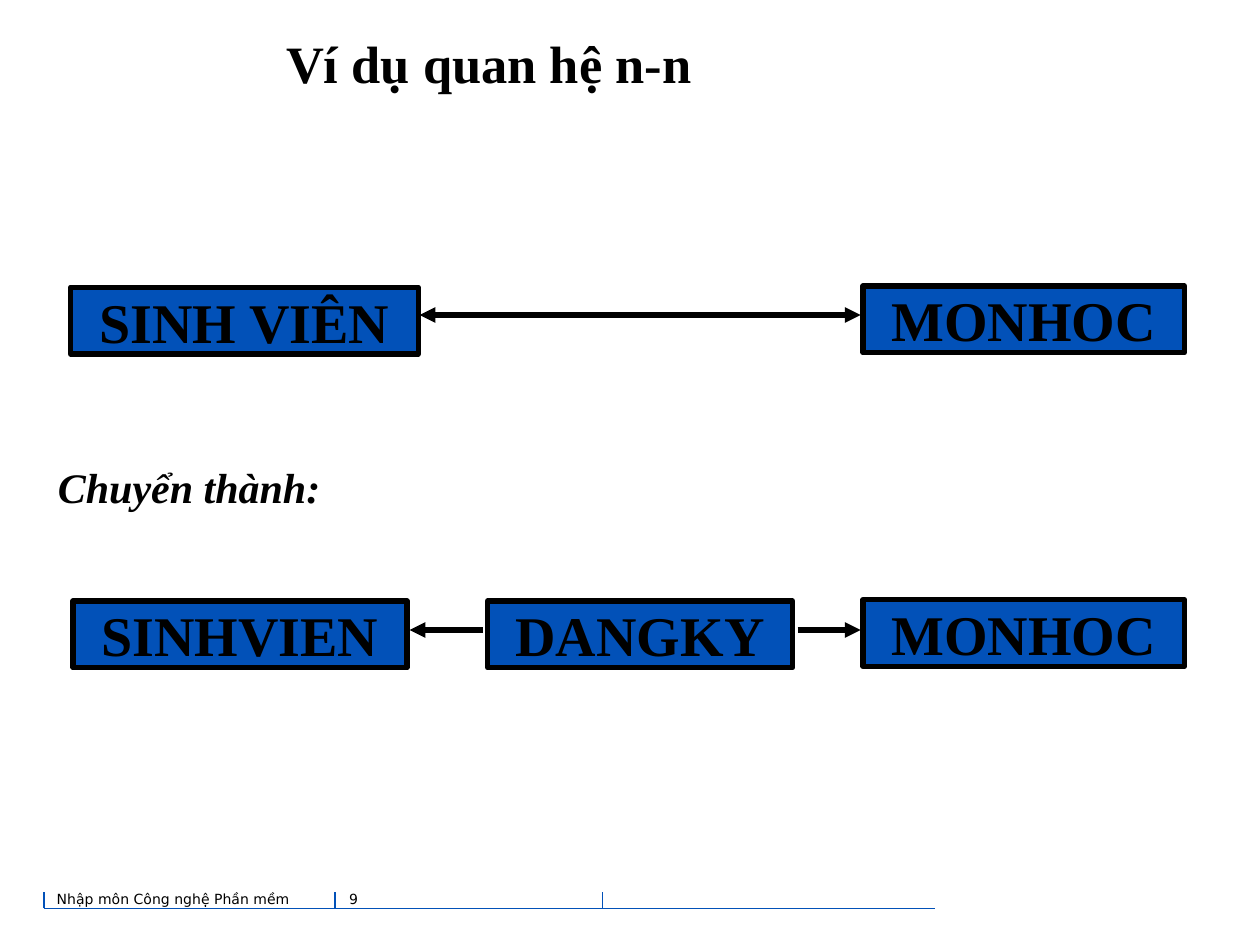
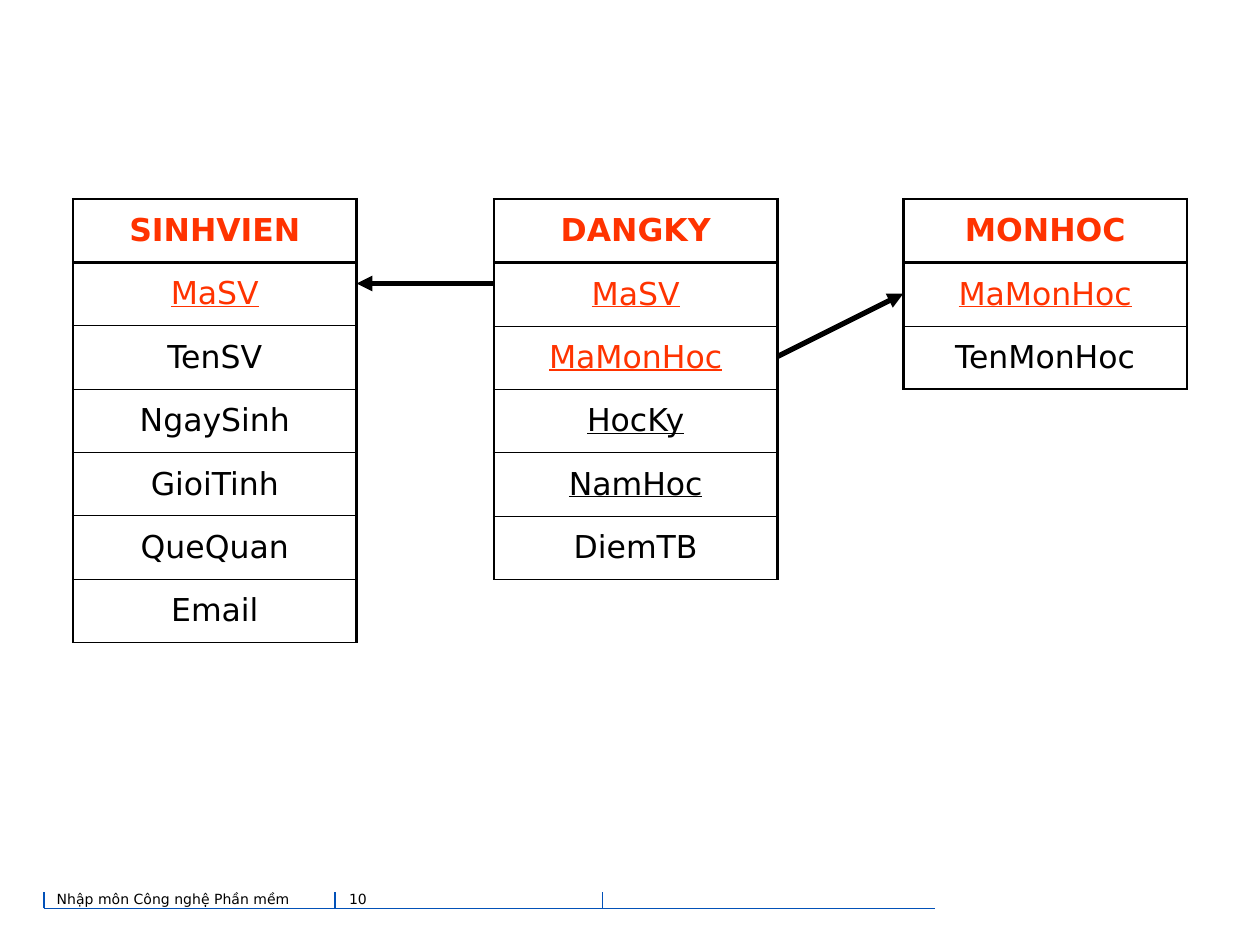
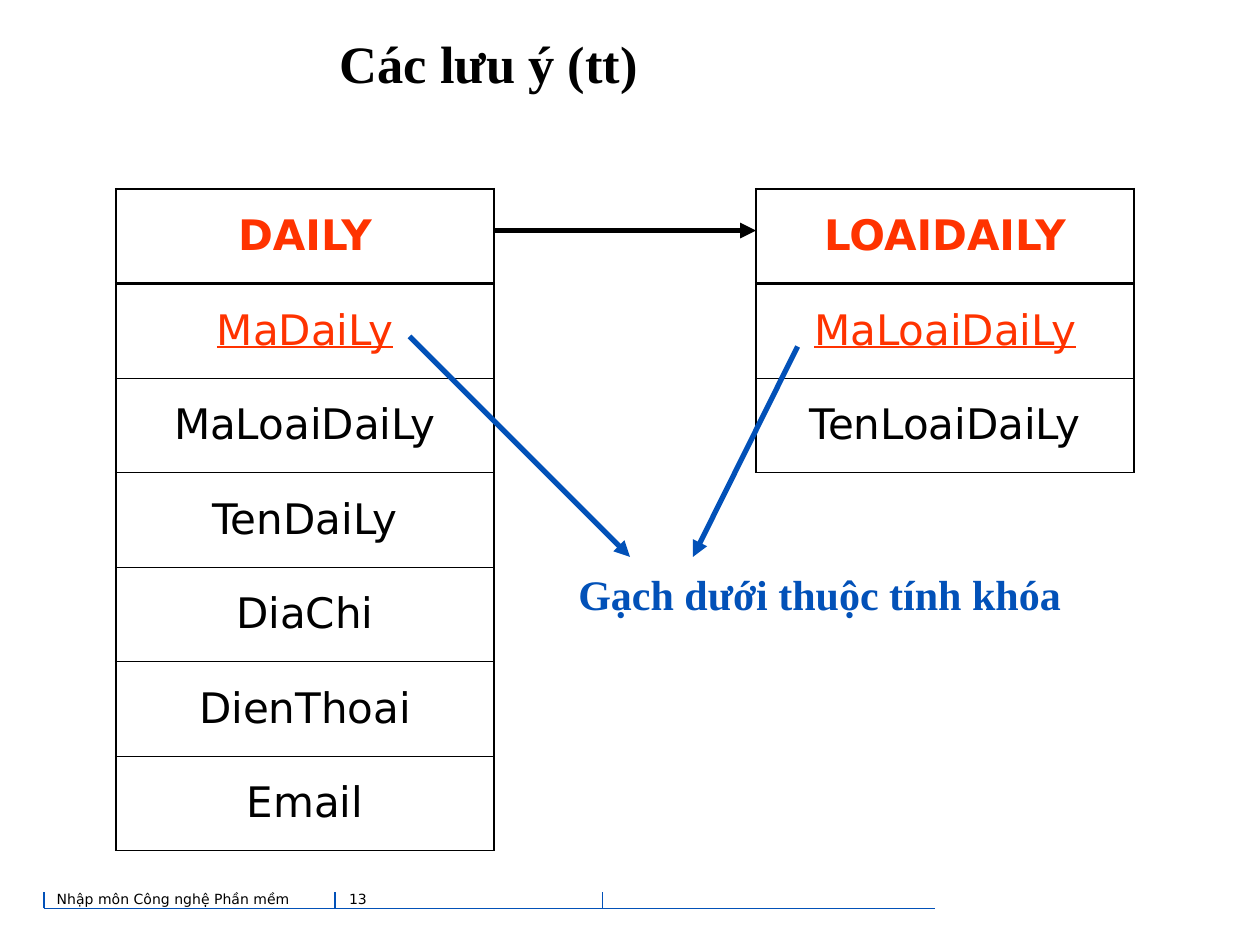
from dataclasses import dataclass

from lxml import etree
from pptx import Presentation, util as u
from pptx.dml.color import RGBColor
from pptx.enum import shapes, text
from pptx.oxml.ns import qn
from pptx.slide import Slide
from pptx.text.text import TextFrame

# Shared look
COLORS = {"ink": "000000", "blue": "0251B8", "key": "FF3300"}
SERIF = "Times New Roman"
SANS = "DejaVu Sans"
CENTER = text.PP_ALIGN.CENTER
MIDDLE = text.MSO_ANCHOR.MIDDLE
TITLE_ONLY, BLANK = 5, 6
THICK, THIN, BOTTOM = 1.47, 0.45, 1.08


@dataclass(frozen=True)
class Style:
    size: float
    font: str = SERIF
    color: str = "ink"
    bold: bool = False
    italic: bool = False
    underline: bool = False
    align: text.PP_ALIGN = CENTER


TITLE = Style(30, bold=True)
ENTITY = Style(32, bold=True)
FOOTER = Style(8, SANS, align=text.PP_ALIGN.LEFT)
SUBHEAD = Style(24, bold=True, italic=True, align=text.PP_ALIGN.JUSTIFY)
CAPTION = Style(24, color="blue", bold=True)


@dataclass(frozen=True)
class Box:
    label: str
    left: float
    top: float
    width: float
    height: float = 0.53


@dataclass(frozen=True)
class Line:
    x1: float
    y1: float
    x2: float
    y2: float
    color: str = "ink"
    width: float = 3
    head: bool = False
    tail: bool = True


@dataclass(frozen=True)
class Relation:
    """A table of attributes: the first ones are red, the keys underlined."""
    name: str
    attributes: tuple[str, ...]
    left: float
    top: float
    width: float
    height: float
    size: float
    reds: int = 1
    keys: int = 1


# Drawing functions
def rgb(name: str) -> RGBColor:
    return RGBColor.from_string(COLORS[name])


def write(tf: TextFrame, words: str, style: Style) -> None:
    p = tf.paragraphs[0]
    p.alignment = style.align
    r = p.add_run()
    r.text = words
    f = r.font
    f.name, f.size = style.font, u.Pt(style.size)
    f.bold, f.italic, f.underline = style.bold, style.italic, style.underline
    f.color.rgb = rgb(style.color)


def set_frame(tf: TextFrame, inset: float = 0, wrap: bool = True) -> None:
    tf.word_wrap = wrap
    tf.auto_size = text.MSO_AUTO_SIZE.NONE
    tf.margin_left = tf.margin_right = u.Inches(inset)
    tf.margin_top = tf.margin_bottom = u.Inches(inset)


def add_text(s: Slide, box: Box, style: Style, inset: float = 0,
             wrap: bool = True) -> TextFrame:
    sp = s.shapes.add_textbox(u.Inches(box.left), u.Inches(box.top),
                              u.Inches(box.width), u.Inches(box.height))
    set_frame(sp.text_frame, inset, wrap)
    write(sp.text_frame, box.label, style)
    return sp.text_frame


def add_entity(s: Slide, box: Box) -> None:
    sp = s.shapes.add_shape(shapes.MSO_SHAPE.RECTANGLE,
                            u.Inches(box.left), u.Inches(box.top),
                            u.Inches(box.width), u.Inches(box.height))
    sp.shadow.inherit = False
    sp.fill.solid()
    sp.fill.fore_color.rgb = rgb("blue")
    sp.line.color.rgb = rgb("ink")
    sp.line.width = u.Pt(3)
    set_frame(sp.text_frame, wrap=False)
    sp.text_frame.vertical_anchor = MIDDLE
    write(sp.text_frame, box.label, ENTITY)


def add_line(s: Slide, line: Line) -> None:
    c = s.shapes.add_connector(shapes.MSO_CONNECTOR.STRAIGHT,
                               u.Inches(line.x1), u.Inches(line.y1),
                               u.Inches(line.x2), u.Inches(line.y2))
    c.line.color.rgb = rgb(line.color)
    c.line.width = u.Pt(line.width)
    ln = c._element.find(".//" + qn("a:ln"))
    for tag, shown in (("a:headEnd", line.head), ("a:tailEnd", line.tail)):
        if shown:
            etree.SubElement(ln, qn(tag), type="triangle")
    etree.SubElement(ln.getparent(), qn("a:effectLst"))


def set_borders(cell, top: float, bottom: float) -> None:
    tc_pr = cell._tc.get_or_add_tcPr()
    widths = {"a:lnL": THICK, "a:lnR": THICK, "a:lnT": top, "a:lnB": bottom}
    for i, (tag, width) in enumerate(widths.items()):
        ln = etree.Element(qn(tag), w=str(int(u.Pt(width))))
        fill = etree.SubElement(ln, qn("a:solidFill"))
        etree.SubElement(fill, qn("a:srgbClr"), val=COLORS["ink"])
        tc_pr.insert(i, ln)


def add_relation(s: Slide, rel: Relation) -> None:
    rows = (rel.name, *rel.attributes)
    last = len(rows) - 1
    table = s.shapes.add_table(len(rows), 1, u.Inches(rel.left),
                               u.Inches(rel.top), u.Inches(rel.width),
                               u.Inches(rel.height)).table
    table.first_row = table.horz_banding = False
    for i, words in enumerate(rows):
        cell = table.cell(i, 0)
        cell.fill.background()
        cell.vertical_anchor = MIDDLE
        set_borders(cell, THICK if i <= 1 else THIN,
                    THICK if i == 0 else BOTTOM if i == last else THIN)
        write(cell.text_frame, words,
              Style(rel.size, SANS, "key" if i <= rel.reds else "ink",
                    bold=i == 0, underline=1 <= i <= rel.keys))


def add_footer(s: Slide, number: int) -> None:
    rule = 7.21
    add_line(s, Line(7.42, rule, 0.35, rule, "blue", 0.75, tail=False))
    for x in (0.35, 2.66, 4.78):
        add_line(s, Line(x, rule, x, 7.08, "blue", 0.75, tail=False))
    add_text(s, Box("Nhập môn Công nghệ Phần mềm", 0.41, 7.03, 2.19, 0.25),
             FOOTER, 0.04)
    add_text(s, Box(str(number), 2.73, 7.03, 1.25, 0.25), FOOTER, 0.04)


def new_slide(prs, number: int, title: str = "") -> Slide:
    s = prs.slides.add_slide(prs.slide_layouts[TITLE_ONLY if title else BLANK])
    add_footer(s, number)
    if title:
        sp = s.shapes.title
        sp.left, sp.top = u.Inches(0.17), u.Inches(0.07)
        sp.width, sp.height = u.Inches(7.42), u.Inches(0.85)
        set_frame(sp.text_frame)
        sp.text_frame.vertical_anchor = MIDDLE
        write(sp.text_frame, title, TITLE)
    return s


# Slides
def many_to_many(prs) -> None:
    s = new_slide(prs, 9, "Ví dụ quan hệ n-n")
    for box in (Box("SINH VIÊN", 0.56, 2.28, 2.76),
                Box("MONHOC", 6.85, 2.27, 2.55),
                Box("DANGKY", 3.87, 4.77, 2.42),
                Box("SINHVIEN", 0.58, 4.77, 2.65),
                Box("MONHOC", 6.85, 4.76, 2.55)):
        add_entity(s, box)
    tf = add_text(s, Box("Chuyển thành:", 0.08, 3.62, 9.5, 0.4), SUBHEAD)
    p = tf.paragraphs[0]
    p.line_spacing = 1.1
    p_pr = p._p.get_or_add_pPr()
    p_pr.set("marL", str(int(u.Inches(0.76))))
    p_pr.set("indent", str(int(u.Inches(-0.38))))
    for line in (Line(3.33, 2.5, 6.83, 2.5, head=True),
                 Line(6.33, 5, 6.83, 5),
                 Line(3.83, 5, 3.25, 5)):
        add_line(s, line)


def registration_tables(prs) -> None:
    s = new_slide(prs, 10)
    top, width, size = 1.58, 2.25, 18
    for rel in (
        Relation("DANGKY", ("MaSV", "MaMonHoc", "HocKy", "NamHoc", "DiemTB"),
                 3.92, top, width, 3.02, size, reds=2, keys=4),
        Relation("SINHVIEN", ("MaSV", "TenSV", "NgaySinh", "GioiTinh",
                              "QueQuan", "Email"),
                 0.58, top, width, 3.52, size),
        Relation("MONHOC", ("MaMonHoc", "TenMonHoc"),
                 7.17, top, width, 1.51, size),
    ):
        add_relation(s, rel)
    add_line(s, Line(3.92, 2.25, 2.83, 2.25))
    add_line(s, Line(6.17, 2.83, 7.17, 2.33))


def key_notes(prs) -> None:
    s = new_slide(prs, 13, "Các lưu ý (tt)")
    top, width, size = 1.5, 3, 24
    add_relation(s, Relation(
        "DAILY", ("MaDaiLy", "MaLoaiDaiLy", "TenDaiLy", "DiaChi",
                  "DienThoai", "Email"), 0.92, top, width, 5.25, size))
    add_relation(s, Relation("LOAIDAILY", ("MaLoaiDaiLy", "TenLoaiDaiLy"),
                             6, top, width, 2.25, size))
    add_line(s, Line(3.92, 1.83, 6, 1.83))
    add_text(s, Box("Gạch dưới thuộc tính khóa", 4.59, 4.51, 3.83, 0.4),
             CAPTION, wrap=False)
    add_line(s, Line(3.25, 2.67, 5, 4.42, "blue"))
    add_line(s, Line(6.33, 2.75, 5.5, 4.42, "blue"))


def main() -> None:
    prs = Presentation()
    prs.slide_width, prs.slide_height = u.Inches(10), u.Inches(7.5)
    many_to_many(prs)
    registration_tables(prs)
    key_notes(prs)
    prs.save("out.pptx")


if __name__ == "__main__":
    main()
